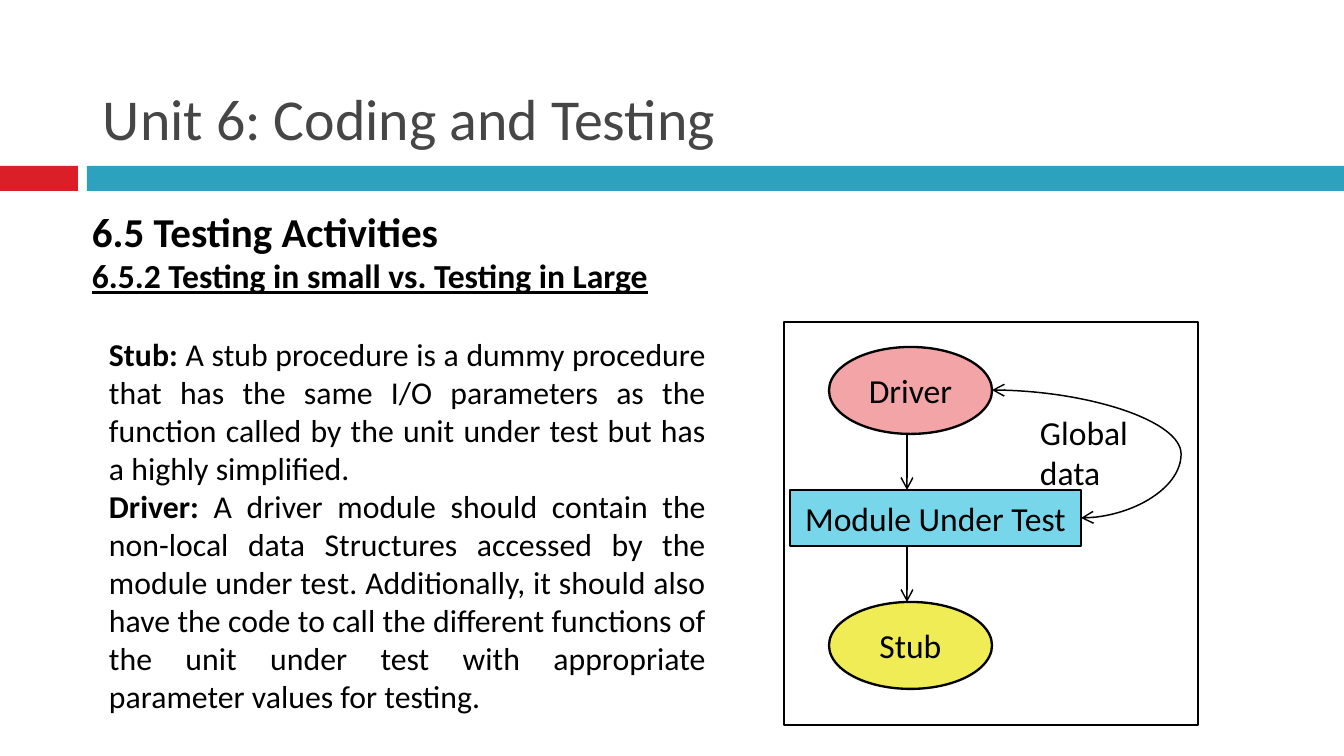
import pptx
import pptx.util
import pptx.dml.color
import pptx.enum.shapes
import pptx.enum.text
import pptx.oxml.ns
from lxml import etree

# Content: each paragraph is (runs, format), each run is (text, bold)
TITLE = [([("Unit 6: Coding and Testing", False)], {})]
BODY = [
    ([("6.5 Testing Activities", True)], {"size": 22}),
    ([("6.5.2 Testing in small vs. Testing in Large", True)],
     {"size": 18, "under": True}),
    ([("Stub: ", True),
      ("A stub procedure is a dummy procedure that has the same I/O parameters "
       "as the function called by the unit under test but has a highly "
       "simplified.", False)],
     {"size": 17, "before": 39, "indent": 17, "pitch": 38, "align": "JUSTIFY"}),
    ([("Driver: ", True),
      ("A driver module should contain the non-local data Structures accessed "
       "by the module under test. Additionally, it should also have the code "
       "to call the different functions of the unit under test with "
       "appropriate parameter values for testing.", False)],
     {"size": 17, "indent": 17, "pitch": 38, "align": "JUSTIFY"}),
]
LABEL = [([(word, False)], {}) for word in ("Global", "data")]
BARS = [("red", 0, 78), ("teal", 87, 1257)]
NODES = [  # text, preset, fill, left, top, width, height
    ("Driver", "OVAL", "pink", 829, 347, 163, 87),
    ("Module Under Test", "RECTANGLE", "aqua", 790, 490, 291, 56),
    ("Stub", "OVAL", "yellow", 829, 602, 163, 87),
]
COLORS = {"red": "DA1F28", "teal": "2DA2BF", "gray": "464646",
          "black": "000000", "pink": "F2A4A7", "aqua": "78D6EA",
          "yellow": "F0EC56"}
STEM = 907  # x of the downward arrows


def px(count):
    return pptx.util.Emu(round(count * 914400 / 134.4))


def rgb(name):
    return pptx.dml.color.RGBColor.from_string(COLORS[name])


def write(shape, paras, size=18, color="black", align="LEFT", anchor="TOP"):
    frame = shape.text_frame
    frame.word_wrap = True
    frame.vertical_anchor = getattr(pptx.enum.text.MSO_ANCHOR, anchor)
    frame.margin_left = frame.margin_right = 0
    frame.margin_top = frame.margin_bottom = 0
    for i, (runs, form) in enumerate(paras):
        para = frame.paragraphs[0] if i == 0 else frame.add_paragraph()
        para.alignment = getattr(pptx.enum.text.PP_ALIGN,
                                 form.get("align", align))
        para.space_before = px(form.get("before", 0))
        if "pitch" in form:
            para.line_spacing = px(form["pitch"])
        if "indent" in form:
            para._p.get_or_add_pPr().set("marL", str(px(form["indent"])))
        for text, bold in runs:
            run = para.add_run()
            run.text = text
            font = run.font
            font.name = "Calibri"
            font.size = pptx.util.Pt(form.get("size", size))
            font.bold = bold
            font.underline = form.get("under", False)
            font.color.rgb = rgb(color)


def box(left, top, width, height):
    return slide.shapes.add_textbox(px(left), px(top), px(width), px(height))


def block(left, top, width, height, preset="RECTANGLE", fill=None, line=None):
    kind = getattr(pptx.enum.shapes.MSO_SHAPE, preset)
    shape = slide.shapes.add_shape(kind, px(left), px(top), px(width), px(height))
    shape.shadow.inherit = False
    if fill:
        shape.fill.solid()
        shape.fill.fore_color.rgb = rgb(fill)
    else:
        shape.fill.background()
    if line:
        shape.line.color.rgb = rgb(line)
        shape.line.width = pptx.util.Pt(1.25)
    else:
        shape.line.fill.background()
    return shape


def arrow(start, end, kind="STRAIGHT", ends=("tailEnd",)):
    wire = slide.shapes.add_connector(
        getattr(pptx.enum.shapes.MSO_CONNECTOR, kind),
        *map(px, start + end))
    wire.line.color.rgb = rgb("black")
    wire.line.width = pptx.util.Pt(0.79)
    qn = pptx.oxml.ns.qn
    for tag in ends:
        etree.SubElement(wire.line._get_or_add_ln(), qn("a:" + tag), type="arrow")
    etree.SubElement(wire._element.spPr, qn("a:effectLst"))
    return wire


deck = pptx.Presentation()
deck.slide_width, deck.slide_height = px(1344), px(756)
slide = deck.slides.add_slide(deck.slide_layouts[6])

# Title and divider bars
for fill, left, width in BARS:
    block(left, 166, width, 25, fill=fill)
write(box(103, 42, 1173, 110), TITLE, size=31, color="gray", anchor="BOTTOM")

# Definitions
write(box(92, 206, 614, 520), BODY)

# Diagram frame and nodes
block(784, 322, 414, 403, line="black")
for text, preset, fill, *place in NODES:
    node = block(*place, preset=preset, fill=fill, line="black")
    write(node, [([(text, False)], {})], align="CENTER", anchor="MIDDLE")

# Arrows from each node down to the next
for upper, lower in zip(NODES, NODES[1:]):
    arrow((STEM, upper[4] + upper[6]), (STEM, lower[4]))

# Two-way curve between the right sides of driver and module
sides = [(left + width, top + height // 2)
         for *_, left, top, width, height in NODES[:2]]
curve = arrow(*sides, kind="CURVE", ends=("headEnd", "tailEnd"))
guides = curve._element.spPr.prstGeom.get_or_add_avLst()
etree.SubElement(guides, pptx.oxml.ns.qn("a:gd"), name="adj1", fmla="val 212500")
write(box(1040, 412, 100, 82), LABEL)

deck.save("out.pptx")
